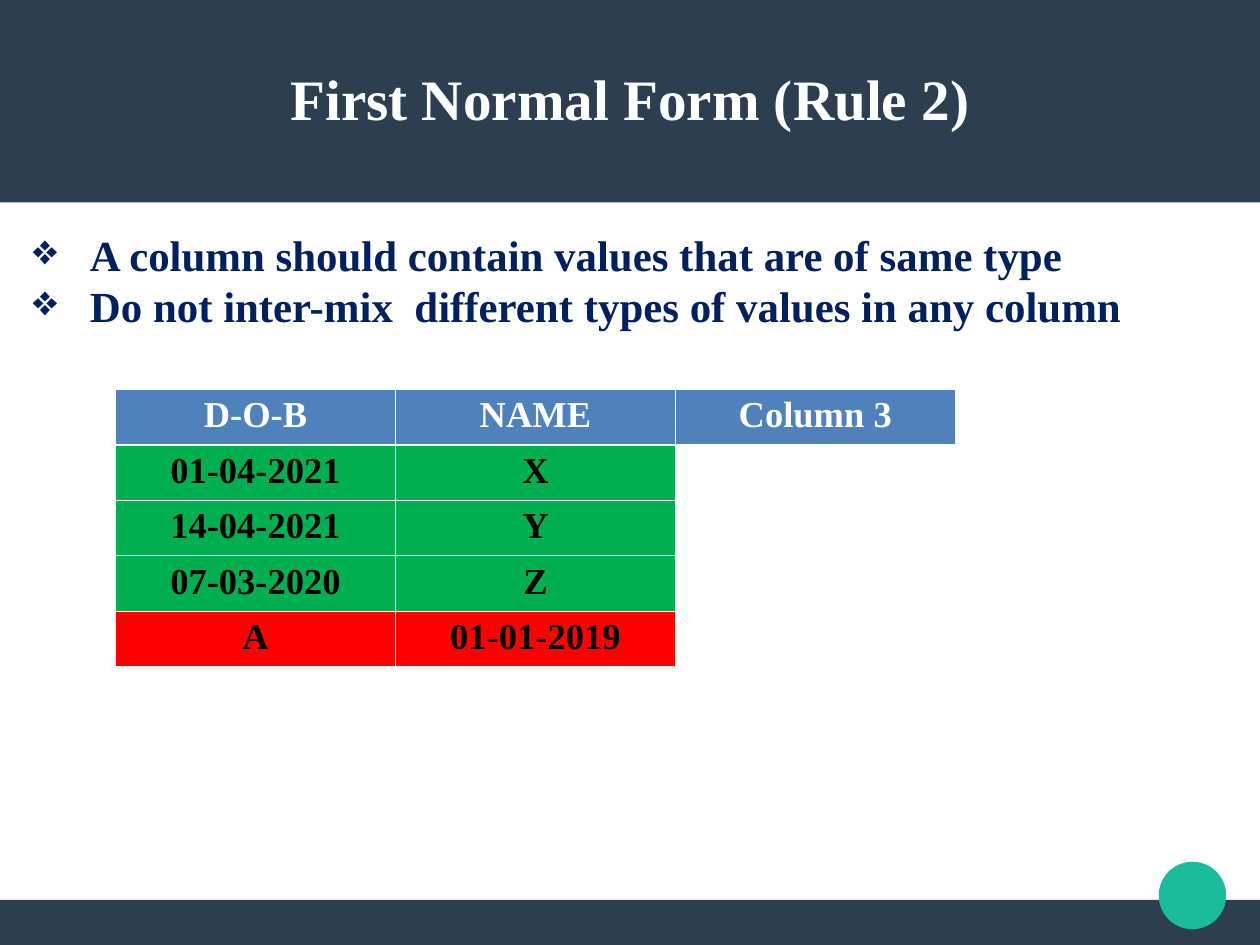
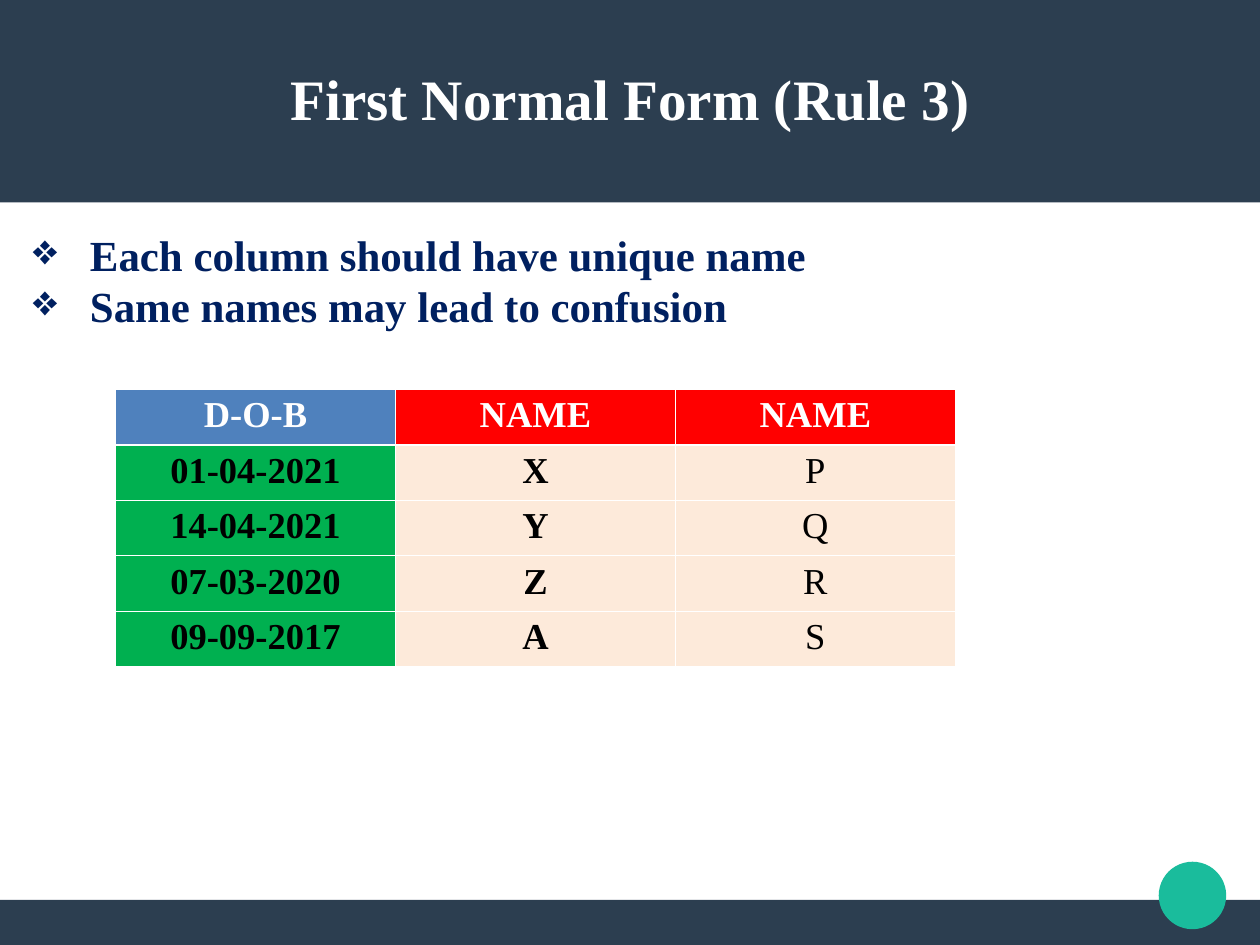
from dataclasses import dataclass

from lxml.etree import SubElement
from pptx import Presentation
from pptx.dml.color import RGBColor
from pptx.enum.shapes import MSO_SHAPE
from pptx.enum.text import MSO_ANCHOR, PP_ALIGN
from pptx.oxml.ns import qn
from pptx.util import Cm, Pt


@dataclass(frozen=True)
class Theme:
    font: str = "Times New Roman"
    band: str = "2C3E50"
    accent: str = "1ABC9C"
    white: str = "FFFFFF"
    black: str = "000000"
    bullet: str = "002060"
    header: str = "4F81BD"
    valid: str = "00B050"
    invalid: str = "FF0000"
    neutral: str = "FDEADA"
    title_size: float = 36
    bullet_size: float = 27
    table_size: float = 23
    thin_border: float = 0.45
    header_border: float = 1.47


THEME = Theme()
WIDTH, HEIGHT = 28, 21
TITLE_BAND, FOOTER_BAND = 4.5, 1
TABLE_LEFT, TABLE_TOP = 2.57, 8.66
COLUMN_WIDTH, ROW_HEIGHT = 6.22, 1.23

BACKDROP = [
    (MSO_SHAPE.RECTANGLE, (0, HEIGHT - FOOTER_BAND, WIDTH, FOOTER_BAND), THEME.band),
    (MSO_SHAPE.RECTANGLE, (0, 0, WIDTH, TITLE_BAND), THEME.band),
    (MSO_SHAPE.OVAL, (25.75, 19.15, 1.5, 1.5), THEME.accent),
]

SLIDES = [
    {
        "title": "First Normal Form (Rule 2)",
        "bullets": [
            "A column should contain values that are of same type",
            "Do not inter-mix  different types of values in any column",
        ],
        "rows": [
            ("D-O-B", "NAME", "Column 3"),
            ("01-04-2021", "X", ""),
            ("14-04-2021", "Y", ""),
            ("07-03-2020", "Z", ""),
            ("A", "01-01-2019", ""),
        ],
        "header_fills": [THEME.header] * 3,
        "body_fills": [[THEME.valid, THEME.valid, None]] * 3
        + [[THEME.invalid, THEME.invalid, None]],
    },
    {
        "title": "First Normal Form (Rule 3)",
        "bullets": [
            "Each column should have unique name",
            "Same names may lead to confusion",
        ],
        "rows": [
            ("D-O-B", "NAME", "NAME"),
            ("01-04-2021", "X", "P"),
            ("14-04-2021", "Y", "Q"),
            ("07-03-2020", "Z", "R"),
            ("09-09-2017", "A", "S"),
        ],
        "header_fills": [THEME.header, THEME.invalid, THEME.invalid],
        "body_fills": [[THEME.valid, THEME.neutral, THEME.neutral]] * 4,
    },
]


def set_attributes(target, values):
    for name, value in values.items():
        setattr(target, name, value)


def write(paragraph, text, size, color, bold=True, alignment=PP_ALIGN.CENTER):
    paragraph.alignment = alignment
    run = paragraph.add_run()
    run.text = text
    set_attributes(run.font, {"name": THEME.font, "size": Pt(size), "bold": bold})
    run.font.color.rgb = RGBColor.from_string(color)


def paint(fill, color):
    if color is None:
        fill.background()
    else:
        fill.solid()
        fill.fore_color.rgb = RGBColor.from_string(color)


def add_backdrop(slide):
    for kind, box, color in BACKDROP:
        shape = slide.shapes.add_shape(kind, *map(Cm, box))
        shape.shadow.inherit = False
        paint(shape.fill, color)
        shape.line.fill.background()


def add_text_frame(slide, box, **values):
    frame = slide.shapes.add_textbox(*map(Cm, box)).text_frame
    set_attributes(frame, {"word_wrap": True, **values})
    return frame


def add_title(slide, text):
    margins = dict.fromkeys(
        ("margin_left", "margin_top", "margin_right", "margin_bottom"), 0
    )
    frame = add_text_frame(
        slide, (1, 0.84, 26, 2.67), vertical_anchor=MSO_ANCHOR.MIDDLE, **margins
    )
    write(frame.paragraphs[0], text, THEME.title_size, THEME.white)


def add_bullets(slide, lines):
    frame = add_text_frame(slide, (0.48, 4.95, 26.52, 2.54))
    for index, line in enumerate(lines):
        paragraph = frame.add_paragraph() if index else frame.paragraphs[0]
        write(paragraph, line, THEME.bullet_size, THEME.bullet,
              alignment=PP_ALIGN.JUSTIFY)
        properties = paragraph._p.get_or_add_pPr()
        properties.set("marL", str(Cm(1.27)))
        properties.set("indent", str(-Cm(1.27)))
        bullet_color = SubElement(properties, qn("a:buClr"))
        SubElement(bullet_color, qn("a:srgbClr"), val=THEME.bullet)
        SubElement(properties, qn("a:buChar"), char="❖")


def add_borders(cell, row):
    widths = {
        "L": THEME.thin_border,
        "R": THEME.thin_border,
        "T": THEME.header_border if row == 1 else THEME.thin_border,
        "B": THEME.header_border if row == 0 else THEME.thin_border,
    }
    properties = cell._tc.get_or_add_tcPr()
    for side, width in widths.items():
        line = SubElement(properties, qn(f"a:ln{side}"), w=str(Pt(width)))
        fill = SubElement(line, qn("a:solidFill"))
        SubElement(fill, qn("a:srgbClr"), val=THEME.white)


def add_rule_table(slide, rows, fills):
    columns = len(rows[0])
    table = slide.shapes.add_table(
        len(rows), columns, Cm(TABLE_LEFT), Cm(TABLE_TOP),
        Cm(COLUMN_WIDTH * columns), Cm(ROW_HEIGHT * len(rows)),
    ).table
    table.horz_banding = False
    for row, texts in enumerate(rows):
        for column, text in enumerate(texts):
            cell = table.cell(row, column)
            add_borders(cell, row)
            paint(cell.fill, fills[row][column])
            if text:
                write(
                    cell.text_frame.paragraphs[0], text, THEME.table_size,
                    THEME.black if row else THEME.white,
                    bold=row == 0 or column < 2,
                )


def main():
    presentation = Presentation()
    set_attributes(
        presentation, {"slide_width": Cm(WIDTH), "slide_height": Cm(HEIGHT)}
    )
    for content in SLIDES:
        slide = presentation.slides.add_slide(presentation.slide_layouts[6])
        add_backdrop(slide)
        add_title(slide, content["title"])
        add_bullets(slide, content["bullets"])
        fills = [content["header_fills"], *content["body_fills"]]
        add_rule_table(slide, content["rows"], fills)
    presentation.save("out.pptx")


if __name__ == "__main__":
    main()
